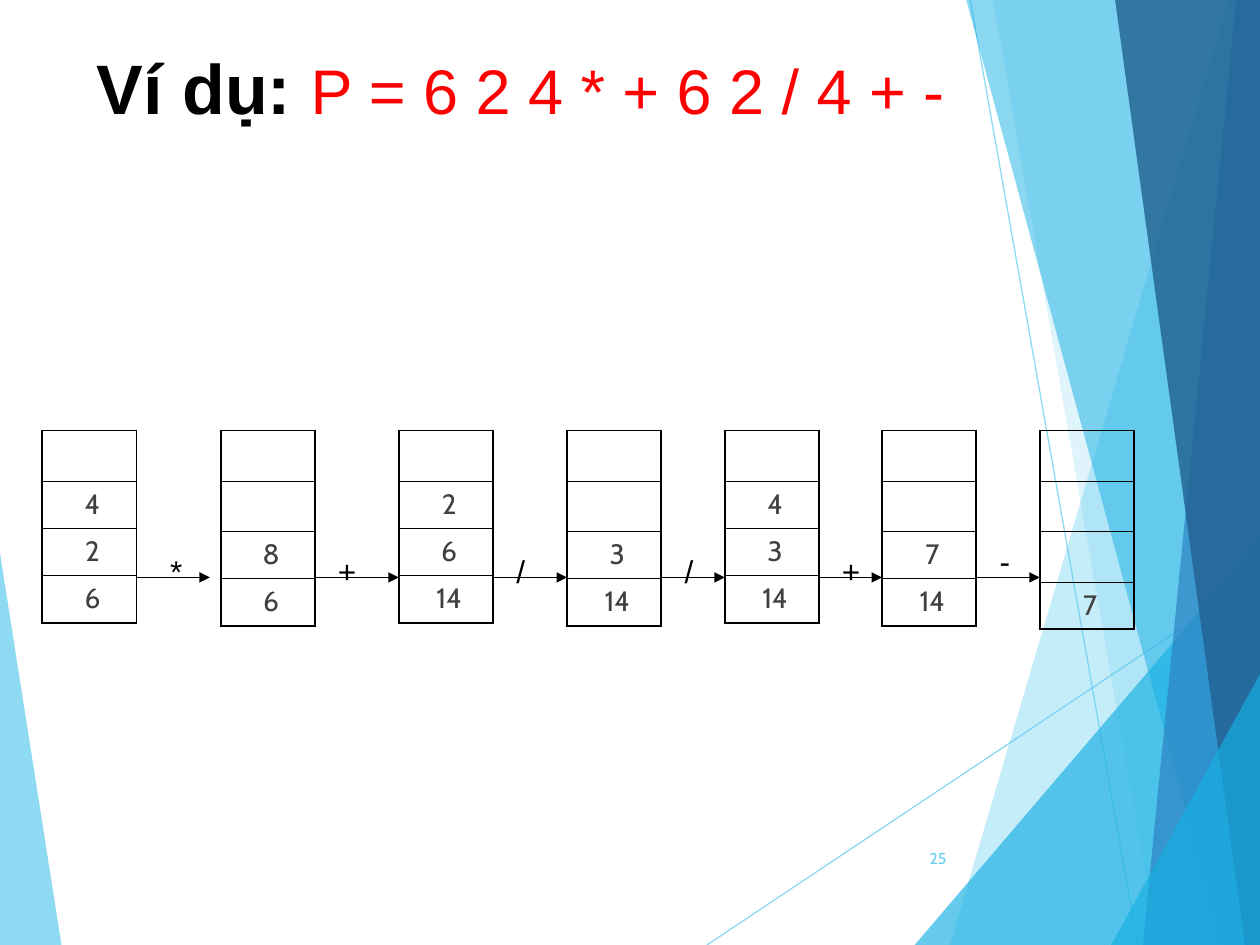
from dataclasses import dataclass

from lxml.etree import SubElement
from pptx import Presentation
from pptx.dml.color import RGBColor
from pptx.enum.shapes import MSO_CONNECTOR
from pptx.enum.text import MSO_ANCHOR, MSO_AUTO_SIZE, PP_ALIGN
from pptx.oxml import parse_xml
from pptx.oxml.ns import nsdecls, qn
from pptx.util import Cm, Pt


@dataclass(frozen=True)
class Theme:
    sky: str = "5FCBEF"
    cyan: str = "17B0E4"
    blue: str = "2E83C3"
    navy: str = "236292"
    ink: str = "000000"
    value: str = "404040"
    formula: str = "FF0000"
    heading_font: str = "Arial"
    body_font: str = "Cabin"
    heading_size: int = 40
    formula_size: int = 36
    operator_size: int = 18
    value_size: int = 16
    number_size: int = 9
    outer_border: float = 1.08
    inner_border: float = 0.45
    line_width: float = 0.75


theme = Theme()


def style_font(font, name, size, color, bold=False):
    font.name, font.size, font.bold = name, Pt(size), bold
    font.color.rgb = RGBColor.from_string(color)


def add_line(start, end, color):
    line = page.shapes.add_connector(
        MSO_CONNECTOR.STRAIGHT, *(Cm(length) for length in start + end))
    line.line.color.rgb = RGBColor.from_string(color)
    line.line.width = Pt(theme.line_width)
    SubElement(line._element.spPr, qn("a:effectLst"))
    return line


deck = Presentation()
width, height = 25.4, 19.05
deck.slide_width, deck.slide_height = Cm(width), Cm(height)
page = deck.slides.add_slide(deck.slide_layouts[5])

# Background: thin lines, then translucent facets
translucent = []
for start, end in [((14.25, height), (width, 11.61)), ((19.56, 0), (22.94, height))]:
    translucent.append((add_line(start, end, theme.sky), 70))

right_edge = [(width, height), (width, 0)]
facets = [
    (theme.sky, 70, [(0, 11.15), (1.24, height), (0, height)]),
    (theme.sky, 36, [(24.77, 0), (19.15, height)] + right_edge),
    (theme.sky, 20, [(20.02, 0), (23.34, height)] + right_edge),
    (theme.cyan, 66, [(18.44, height), (width, 10.9), (width, height)]),
    (theme.cyan, 50, [(19.48, 0), (24.64, height)] + right_edge),
    (theme.blue, 70, [(24.92, 0), (23.04, height)] + right_edge),
    (theme.navy, 82, [(22.48, 0), (25.1, height)] + right_edge),
    (theme.cyan, 66, [(22.4, height), (width, 13.59), (width, height)]),
]
for color, opacity, corners in facets:
    points = [(Cm(x), Cm(y)) for x, y in corners]
    builder = page.shapes.build_freeform(*points[0])
    builder.add_line_segments(points[1:], close=True)
    facet = builder.convert_to_shape()
    facet.shadow.inherit = False
    facet.fill.solid()
    facet.fill.fore_color.rgb = RGBColor.from_string(color)
    facet.line.fill.background()
    translucent.append((facet, opacity))

for shape, opacity in translucent:
    color_element = shape._element.spPr.find(".//" + qn("a:srgbClr"))
    SubElement(color_element, qn("a:alpha"), val=str(opacity * 1000))

# Title, brought in front of the background
title = page.shapes.title
page.shapes._spTree.append(title._element)
title.left, title.top, title.width, title.height = Cm(1.7), Cm(0.64), Cm(17.63), Cm(3.66)
frame = title.text_frame
frame.vertical_anchor = MSO_ANCHOR.TOP
frame.margin_top, frame.margin_right = Cm(0.25), Cm(0)
para = frame.paragraphs[0]
para.alignment = PP_ALIGN.LEFT
for text, size, color, bold in [
    ("Ví dụ: ", theme.heading_size, theme.ink, True),
    ("P = 6 2 4 * + 6 2 / 4 + -", theme.formula_size, theme.formula, False),
]:
    span = para.add_run()
    span.text = text
    style_font(span.font, theme.heading_font, size, color, bold)

# Page number
box = page.shapes.add_textbox(Cm(17.91), Cm(16.79), Cm(1.42), Cm(1.02))
box.text_frame.word_wrap = True
box.text_frame.vertical_anchor = MSO_ANCHOR.MIDDLE
para = box.text_frame.paragraphs[0]
para.text = "25"
para.alignment = PP_ALIGN.RIGHT
style_font(para.font, theme.body_font, theme.number_size, theme.sky)

# Stack states, with the operator leading to the next one
stack_top, stack_width, stack_height, stack_rows = 8.68, 1.9, 3.81, 4
arrow_y = 11.64
# left, values from the top down, operator, operator left and top, arrow end
states = [
    (0.85, ["4", "2", "6"], "*", 3.18, 11, 4.23),
    (4.45, ["8", "6"], "+", 6.56, 11, 8.04),
    (8.04, ["2", "6", "14"], "/", 10.16, 11, 11.43),
    (11.43, ["3", "14"], "/", 13.55, 11, 14.61),
    (14.61, ["4", "3", "14"], "+", 16.72, 11, 17.78),
    (17.78, ["7", "14"], "-", 19.9, 10.8, 20.96),
    (20.96, ["7"], None, None, None, None),
]
for left, values, operator, operator_left, operator_top, arrow_end in states:
    table = page.shapes.add_table(
        stack_rows, 1, Cm(left), Cm(stack_top), Cm(stack_width), Cm(stack_height)).table
    table.first_row = table.horz_banding = False
    padded = [""] * (stack_rows - len(values)) + values
    for row, value in enumerate(padded):
        cell = table.cell(row, 0)
        cell.fill.background()
        borders = {
            "lnL": theme.outer_border,
            "lnR": theme.outer_border,
            "lnT": theme.outer_border if row == 0 else theme.inner_border,
            "lnB": theme.outer_border if row == stack_rows - 1 else theme.inner_border,
        }
        for position, (side, weight) in enumerate(borders.items()):
            cell._tc.tcPr.insert(position, parse_xml(
                f'<a:{side} {nsdecls("a")} w="{Pt(weight)}"><a:solidFill>'
                f'<a:srgbClr val="{theme.ink}"/></a:solidFill></a:{side}>'))
        if value:
            para = cell.text_frame.paragraphs[0]
            para.text = value
            para.alignment = PP_ALIGN.CENTER
            para.space_after = Pt(3)
            para._p.get_or_add_pPr().set("marL", str(Cm(0.13)))
            style_font(para.font, theme.body_font, theme.value_size, theme.value)
    if operator:
        box = page.shapes.add_textbox(Cm(operator_left), Cm(operator_top), Cm(1.06), Cm(1.02))
        box.text_frame.word_wrap = True
        box.text_frame.auto_size = MSO_AUTO_SIZE.SHAPE_TO_FIT_TEXT
        para = box.text_frame.paragraphs[0]
        para.text = operator
        style_font(para.font, theme.heading_font, theme.operator_size, theme.ink)
        arrow = add_line((left + stack_width, arrow_y), (arrow_end, arrow_y), theme.ink)
        SubElement(arrow.get_or_add_ln(), qn("a:tailEnd"), type="triangle")

deck.save("out.pptx")
